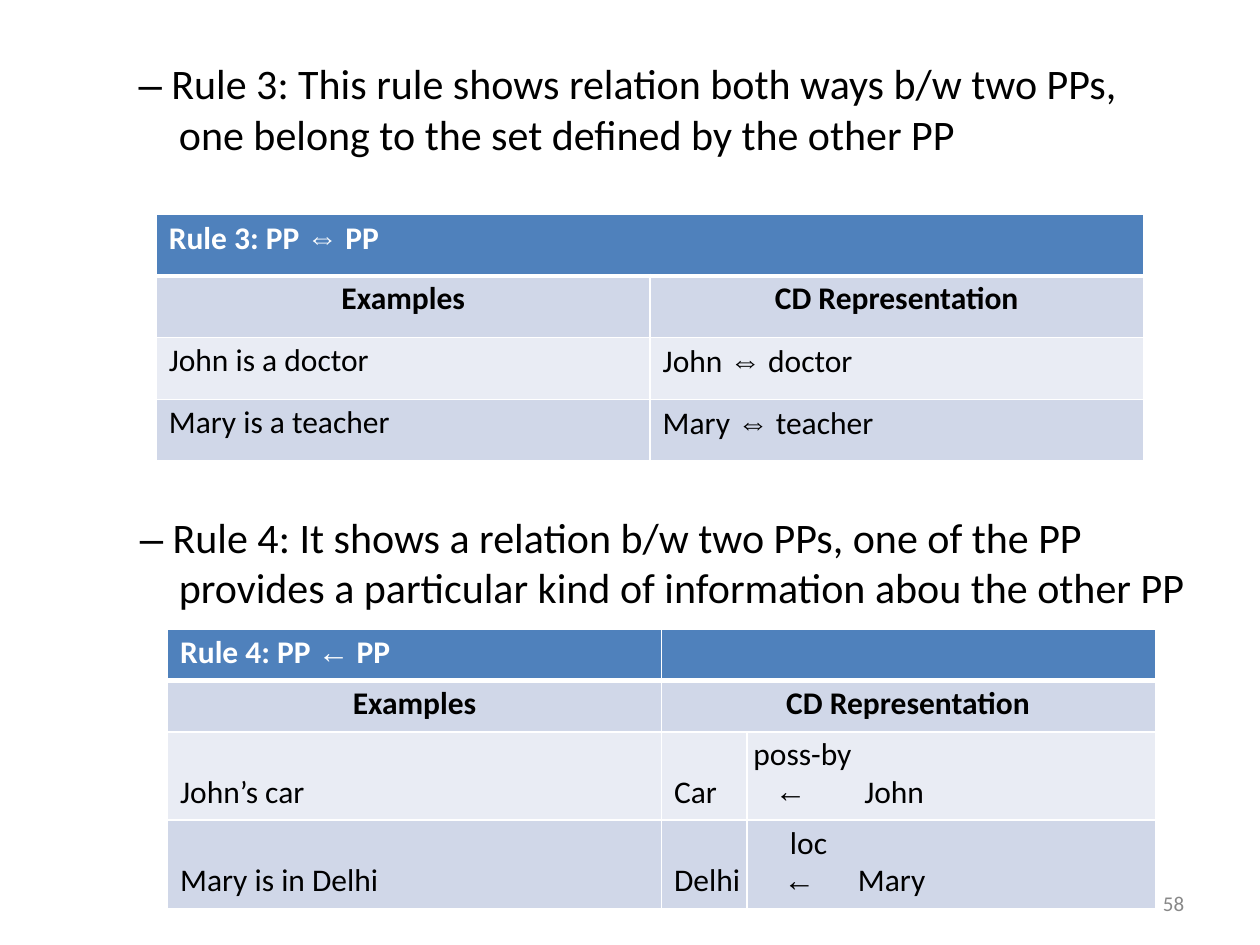
"""Build a slide with two relation rules and their example tables."""
from dataclasses import dataclass
from itertools import groupby

from lxml import etree
from pptx import Presentation
from pptx.dml.color import RGBColor
from pptx.enum.text import PP_ALIGN
from pptx.oxml.ns import qn
from pptx.util import Inches, Pt

LEFT, CENTER = PP_ALIGN.LEFT, PP_ALIGN.CENTER
COLORS = {"head": "4F81BC", "dark": "D0D7E8", "light": "E9ECF4",
          "white": "FFFFFF", "black": "000000", "gray": "888888"}
BANDS = ["head", "dark", "light", "dark"]
SIGNS = "–⇔←"


@dataclass
class Line:
    text: str
    pad: float = 0.1
    hang: float = 0
    align: PP_ALIGN = LEFT


@dataclass
class Cell:
    lines: list[Line]
    top: float = 0.03


@dataclass
class Note:
    box: tuple[float, ...]
    lines: list[Line]
    size: int = 24
    color: str = "black"
    top: float = 0.01


@dataclass
class Grid:
    left: float
    top: float
    cols: list[float]
    rows: list[float]
    cells: list[list[Cell]]
    spans: list[tuple[int, int, int]]
    seam: int = 0


def apply(item, values: dict) -> None:
    for key, value in values.items():
        setattr(item, key, value)


def write(frame, lines: list[Line], size: int, color: str, bold: bool = False) -> None:
    for i, line in enumerate(lines):
        para = frame.add_paragraph() if i else frame.paragraphs[0]
        para.alignment = line.align
        props = para._p.get_or_add_pPr()
        props.set("marL", str(Inches(line.pad)))
        props.set("indent", str(Inches(line.hang)))
        for sign, chars in groupby(line.text, lambda c: c in SIGNS):
            run = para.add_run()
            run.text = "".join(chars)
            apply(run.font, {"size": Pt(size), "bold": bold,
                             "name": "Arial" if sign else "Calibri"})
            run.font.color.rgb = RGBColor.from_string(COLORS[color])


def draw_note(slide, note: Note) -> None:
    frame = slide.shapes.add_textbox(*map(Inches, note.box)).text_frame
    apply(frame, {"word_wrap": True, "margin_left": 0, "margin_right": 0,
                  "margin_top": Inches(note.top), "margin_bottom": 0})
    write(frame, note.lines, note.size, note.color)


def draw_edge(cell, side: str, width: float) -> None:
    edge = etree.SubElement(cell._tc.get_or_add_tcPr(), qn(f"a:ln{side}"),
                            w=str(Pt(width)))
    if width:
        fill = etree.SubElement(edge, qn("a:solidFill"))
        etree.SubElement(fill, qn("a:srgbClr"), val=COLORS["white"])
    else:
        etree.SubElement(edge, qn("a:noFill"))


def draw_grid(slide, grid: Grid) -> None:
    table = slide.shapes.add_table(
        len(grid.rows), len(grid.cols), Inches(grid.left), Inches(grid.top),
        Inches(sum(grid.cols)), Inches(sum(grid.rows))).table
    for col, width in zip(table.columns, grid.cols):
        col.width = Inches(width)
    for row, height in zip(table.rows, grid.rows):
        row.height = Inches(height)
    for row, first, last in grid.spans:
        table.cell(row, first).merge(table.cell(row, last))
    for r, band in enumerate(BANDS):
        for c in range(len(grid.cols)):
            cell = table.cell(r, c)
            seam = grid.seam if r > 1 else 0
            widths = {"L": 0 if seam and c == seam else 1,
                      "R": 0 if seam and c + 1 == seam else 1,
                      "T": 3 if r == 1 else 1, "B": 3 if r == 0 else 1}
            for side, width in widths.items():
                draw_edge(cell, side, width)
            cell.fill.solid()
            cell.fill.fore_color.rgb = RGBColor.from_string(COLORS[band])
            apply(cell, {"margin_left": 0, "margin_right": 0, "margin_bottom": 0})
            if c < len(grid.cells[r]):
                item = grid.cells[r][c]
                cell.margin_top = Inches(item.top)
                write(cell.text_frame, item.lines, 18,
                      "black" if r else "white", r < 2)


def plain(text: str, top: float = 0.03, pad: float = 0.1) -> Cell:
    return Cell([Line(text, pad)], top)


def low(text: str, pad: float = 0.1) -> Cell:
    return plain(text, 0.33, pad)


def link(label: str, pad: float, shift: float) -> Cell:
    return Cell([Line(label, pad), Line("←", shift)])


TITLES = [Cell([Line("Examples", 0, align=CENTER)]),
          plain("CD Representation", pad=0.99)]
NOTES = [
    Note((1.09, 0.45, 7.9, 0.83),
         [Line("– Rule 3: This rule shows relation both ways b/w two PPs,", 0.01),
          Line("one belong to the set defined by the other PP", 0.33)]),
    Note((1.09, 4.05, 8.4, 0.83),
         [Line("– Rule 4: It shows a relation b/w two PPs, one of the PP provides "
               "a particular kind of information abou the other PP", 0.33, -0.31)]),
    Note((9.2, 7.07, 0.23, 0.19), [Line("58", 0.03)], 12, "gray", 0),
]
GRIDS = [
    Grid(1.24, 1.7, [3.92] * 2, [0.49] * 4,
         [[plain("Rule 3: PP ⇔ PP", 0.04)], TITLES,
          [plain("John is a doctor"), plain("John ⇔ doctor", 0.04)],
          [plain("Mary is a teacher"), plain("Mary ⇔ teacher", 0.04)]],
         [(0, 0, 1)]),
    Grid(1.33, 4.99, [3.92, 0.68, 0.86, 2.38], [0.41, 0.41, 0.7, 0.7],
         [[plain("Rule 4: PP ← PP", 0.04)], TITLES,
          [low("John’s car"), low("Car"), link("poss-by", 0.05, 0.22),
           low("John", 0.07)],
          [low("Mary is in Delhi"), low("Delhi"), link("loc", 0.34, 0.29),
           low("Mary", 0.02)]],
         [(0, 1, 3), (1, 1, 3)], seam=3),
]


def main() -> None:
    deck = Presentation()
    apply(deck, {"slide_width": Inches(10), "slide_height": Inches(7.5)})
    slide = deck.slides.add_slide(deck.slide_layouts[6])
    for note in NOTES:
        draw_note(slide, note)
    for grid in GRIDS:
        draw_grid(slide, grid)
    deck.save("out.pptx")


if __name__ == "__main__":
    main()
